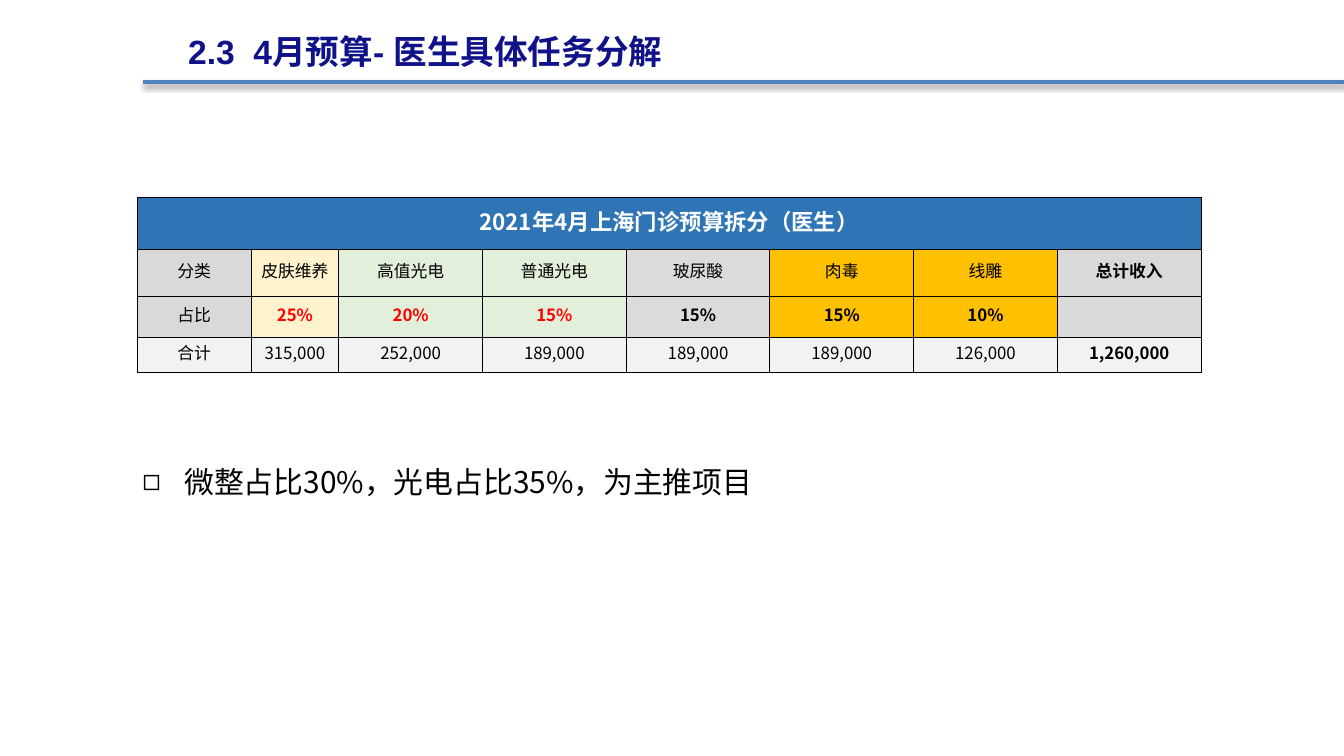
from pptx import Presentation
from pptx.util import Pt
from pptx.dml.color import RGBColor
from pptx.enum.shapes import MSO_CONNECTOR
from pptx.enum.text import MSO_ANCHOR, MSO_AUTO_SIZE, PP_ALIGN
from pptx.oxml import parse_xml
from pptx.oxml.ns import nsdecls, qn
from lxml.etree import SubElement

COLORS = {
    "navy": "101289", "rule": "4F81BD", "black": "000000", "white": "FFFFFF",
    "red": "FF0000", "header": "2F75B5", "gray": "D9D9D9", "silver": "DBDBDB",
    "cream": "FFF2CC", "green": "E2EFDA", "gold": "FFC000", "pale": "F2F2F2",
}
CJK = "Noto Sans CJK SC"


def rgb(name):
    return RGBColor.from_string(COLORS[name])


def write(frame, text, size=9, color="black", bold=False, font=CJK,
          align=PP_ALIGN.CENTER, spacing=None):
    paragraph = frame.paragraphs[0]
    paragraph.alignment = align
    paragraph.space_before = Pt(0)
    if spacing:
        paragraph.line_spacing = spacing
    if not text:
        SubElement(paragraph._p, qn("a:endParaRPr"), sz=str(size * 100))
        return paragraph
    run = paragraph.add_run()
    run.text = text
    run.font.size = Pt(size)
    run.font.bold = bold
    run.font.color.rgb = rgb(color)
    run.font.name = font
    SubElement(run.font._element, qn("a:ea"), typeface=CJK)
    return paragraph


prs = Presentation()
prs.slide_width, prs.slide_height = Pt(720), Pt(405)
slide = prs.slides.add_slide(prs.slide_layouts[1])

heading = slide.shapes.title
takeaway = slide.placeholders[1]
for holder, box in ((heading, (93.6, 2.2, 529, 39.6)),
                    (takeaway, (69.1, 225.4, 553.7, 46))):
    holder.left, holder.top, holder.width, holder.height = map(Pt, box)
    holder.text_frame.word_wrap = True
    holder.text_frame.auto_size = MSO_AUTO_SIZE.NONE
    holder.text_frame.vertical_anchor = MSO_ANCHOR.TOP

write(heading.text_frame, "2.3  4月预算- 医生具体任务分解", size=18, color="navy",
      bold=True, font="Arial", align=PP_ALIGN.LEFT, spacing=1.5)

bullet = takeaway.text_frame.paragraphs[0]._p.get_or_add_pPr()
bullet.set("marL", str(Pt(22.5)))
bullet.set("indent", str(-Pt(22.5)))
SubElement(bullet, qn("a:buChar"), char="◻")
write(takeaway.text_frame, "微整占比30%，光电占比35%，为主推项目", size=16,
      align=PP_ALIGN.LEFT, spacing=2.0)

underline = slide.shapes.add_connector(
    MSO_CONNECTOR.STRAIGHT, Pt(76.5), Pt(43.9), Pt(720), Pt(43.9))
underline.line.color.rgb = rgb("rule")
underline.line.width = Pt(2)
underline._element.spPr.append(parse_xml(
    f'<a:effectLst {nsdecls("a")}><a:outerShdw blurRad="{Pt(3.1)}" dist="{Pt(1.6)}" '
    f'dir="5400000" rotWithShape="0"><a:srgbClr val="{COLORS["black"]}">'
    '<a:alpha val="38000"/></a:srgbClr></a:outerShdw></a:effectLst>'))

budget_title = "2021年4月上海门诊预算拆分（医生）"
categories = ["分类", "皮肤维养", "高值光电", "普通光电", "玻尿酸", "肉毒", "线雕", "总计收入"]
shares = ["占比", "25%", "20%", "15%", "15%", "15%", "10%", ""]
totals = ["合计", "315,000", "252,000", "189,000", "189,000", "189,000", "126,000",
          "1,260,000"]
rows = [[budget_title] + [""] * 7, categories, shares, totals]
category_fills = ["gray", "cream", "green", "green", "silver", "gold", "gold", "gray"]
fills = [["header"] * 8, category_fills, category_fills, ["pale"] * 8]
widths = [61, 47] + [77] * 6
heights = [27.9, 25.2, 22, 18.8]

budget = slide.shapes.add_table(
    4, 8, Pt(73.5), Pt(105.7), Pt(sum(widths)), Pt(sum(heights))).table
for column, width in zip(budget.columns, widths):
    column.width = Pt(width)
for row, height in zip(budget.rows, heights):
    row.height = Pt(height)
budget.cell(0, 0).merge(budget.cell(0, 7))

for r, texts in enumerate(rows):
    for c, text in enumerate(texts):
        cell = budget.cell(r, c)
        cell.margin_left = cell.margin_top = cell.margin_right = Pt(0.7)
        cell.margin_bottom = Pt(3.6)
        cell.vertical_anchor = MSO_ANCHOR.MIDDLE
        for side in ("lnL", "lnR", "lnT", "lnB"):
            cell._tc.get_or_add_tcPr().append(parse_xml(
                f'<a:{side} {nsdecls("a")} w="{Pt(0.5)}"><a:solidFill>'
                f'<a:srgbClr val="{COLORS["black"]}"/></a:solidFill></a:{side}>'))
        cell.fill.solid()
        cell.fill.fore_color.rgb = rgb(fills[r][c])
        if r == 0:
            color = "white"
        elif r == 2 and 1 <= c <= 3:
            color = "red"
        else:
            color = "black"
        write(cell.text_frame, text, size=12 if r == 0 else 9, color=color,
              bold=r == 0 or c == 7 or (r == 2 and c > 0),
              font="Arial" if r == 1 or (r > 1 and c == 0) else CJK)

prs.save("out.pptx")
